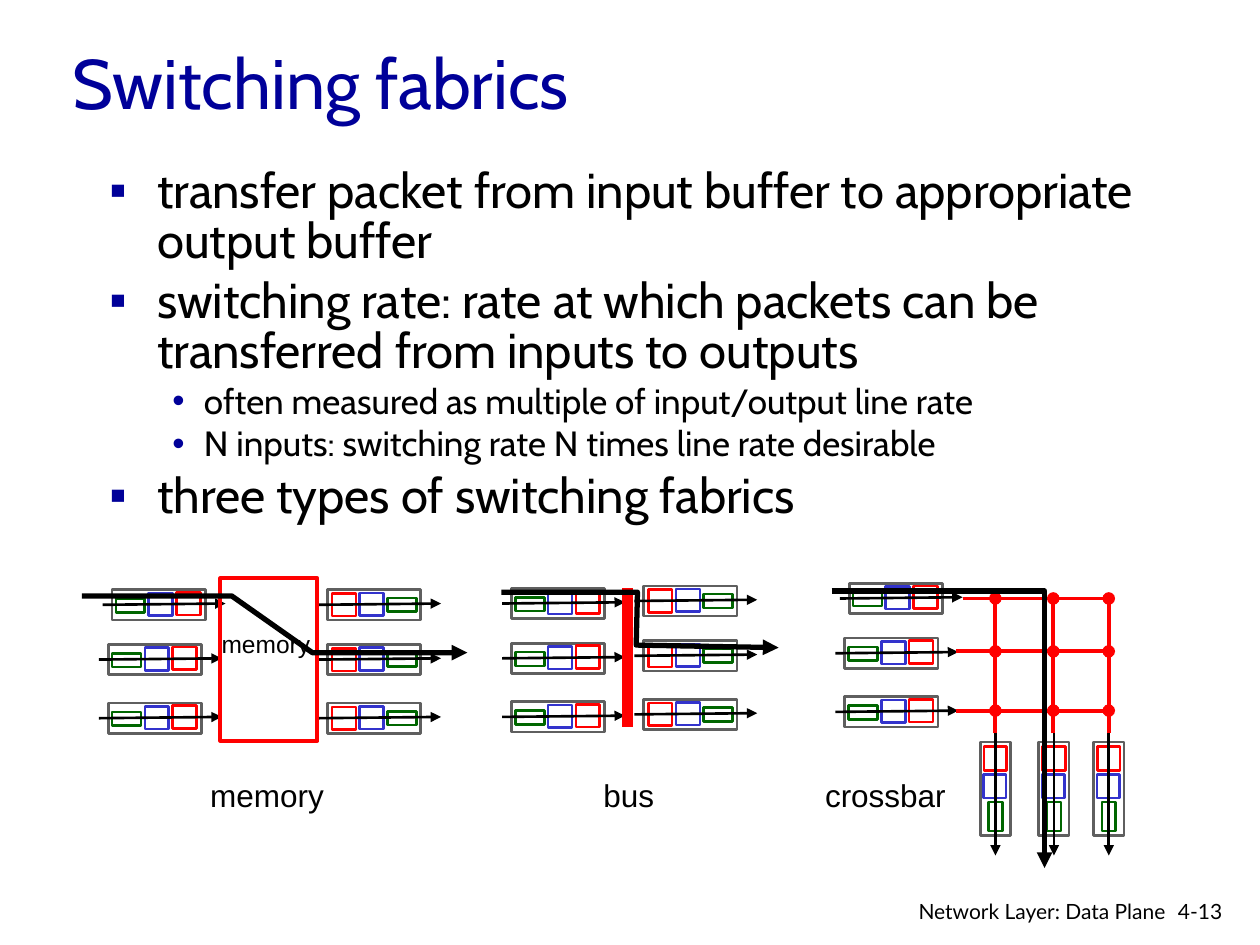
from dataclasses import dataclass
from itertools import product

from lxml.etree import SubElement
from pptx import Presentation
from pptx.dml.color import RGBColor
from pptx.enum.shapes import MSO_CONNECTOR, MSO_SHAPE as Shape
from pptx.enum.text import MSO_ANCHOR as Anchor, MSO_AUTO_SIZE as AutoSize, PP_ALIGN as Align
from pptx.oxml.ns import qn
from pptx.util import Inches, Pt

COLS, ROWS = 100, 75  # slide grid: all lengths below are in its cells
BLACK, WHITE, NAVY, RED = "000000", "FFFFFF", "000099", "FF0000"
GREEN, BLUE, GRAY = "006600", "3333CC", "5F5F5F"

prs = Presentation()
prs.slide_width, prs.slide_height = Inches(10), Inches(7.5)
s = prs.slides.add_slide(prs.slide_layouts[6])


@dataclass
class Cell:
    """A packet part of a buffer: offset and size along and across the flow."""
    along: float
    across: float
    length: float
    breadth: float
    color: str


@dataclass
class Bank:
    """Three buffers of one kind, starting at a grid place."""
    x: float
    y: float
    cells: list[Cell]
    first_shift: float = 0
    vertical: bool = False


@dataclass
class Label:
    text: str
    box: tuple[float, float, float, float]
    size: int
    font: str = "Arial"
    color: str = BLACK
    wrap: bool = False
    anchor: Anchor = Anchor.TOP
    align: Align = Align.LEFT


def gx(cols: float) -> int:
    return round(prs.slide_width * cols / COLS)


def gy(rows: float) -> int:
    return round(prs.slide_height * rows / ROWS)


def rgb(color: str) -> RGBColor:
    return RGBColor.from_string(color)


def set_attrs(obj, values: dict) -> None:
    for name, value in values.items():
        setattr(obj, name, value)


def set_line(sp, color: str, width: float, arrow: bool = False) -> None:
    sp.line.color.rgb = rgb(color)
    sp.line.width = Pt(width)
    if arrow:
        ln = sp.element.spPr.find(qn("a:ln"))
        SubElement(ln, qn("a:tailEnd"), type="triangle")


def add_box(x: float, y: float, w: float, h: float, fill: str = "", line: str = "",
            width: float = 1.5, kind: Shape = Shape.RECTANGLE) -> None:
    sp = s.shapes.add_shape(kind, gx(x), gy(y), gx(w), gy(h))
    sp.shadow.inherit = False
    if fill:
        sp.fill.solid()
        sp.fill.fore_color.rgb = rgb(fill)
    else:
        sp.fill.background()
    if line:
        set_line(sp, line, width)
    else:
        sp.line.fill.background()


def add_line(x1: float, y1: float, x2: float, y2: float, color: str = BLACK,
             width: float = 1.5, arrow: bool = False) -> None:
    sp = s.shapes.add_connector(MSO_CONNECTOR.STRAIGHT, gx(x1), gy(y1), gx(x2), gy(y2))
    set_line(sp, color, width, arrow)
    SubElement(sp.element.spPr, qn("a:effectLst"))


def add_route(points: list[tuple[float, float]]) -> None:
    start, *rest = [(gx(x), gy(y)) for x, y in points]
    builder = s.shapes.build_freeform(*start)
    builder.add_line_segments(rest, close=False)
    sp = builder.convert_to_shape()
    sp.shadow.inherit = False
    sp.fill.background()
    set_line(sp, BLACK, 3, arrow=True)


def add_frame(x: float, y: float, w: float, h: float, **frame_format):
    tf = s.shapes.add_textbox(gx(x), gy(y), gx(w), gy(h)).text_frame
    set_attrs(tf, frame_format)
    return tf


def add_run(p, text: str, size: int, font: str, color: str = BLACK) -> None:
    r = p.add_run()
    r.text = text
    set_attrs(r.font, {"size": Pt(size), "name": font})
    r.font.color.rgb = rgb(color)


def add_label(label: Label) -> None:
    auto = AutoSize.NONE if label.wrap else AutoSize.SHAPE_TO_FIT_TEXT
    tf = add_frame(*label.box, word_wrap=label.wrap, auto_size=auto, vertical_anchor=label.anchor)
    p = tf.paragraphs[0]
    p.alignment = label.align
    add_run(p, label.text, label.size, label.font, label.color)


def add_bullet(p, text: str, level: int) -> None:
    size, mark, margin, hang = [(28, "▪", 0.38, 0.38), (20, "•", 0.75, 0.25)][level]
    set_attrs(p, {"level": level, "line_spacing": 0.85, "space_before": Pt(size * 0.2)})
    pPr = p._p.get_or_add_pPr()
    pPr.set("marL", str(Inches(margin)))
    pPr.set("indent", str(-Inches(hang)))
    SubElement(SubElement(pPr, qn("a:buClr")), qn("a:srgbClr"), val=NAVY)
    SubElement(pPr, qn("a:buFont"), typeface="Arial")
    SubElement(pPr, qn("a:buChar"), char=mark)
    add_run(p, text, size, "Cabin")


def add_buffer(x: float, y: float, cells: list[Cell], vertical: bool) -> None:
    frame = Cell(0, 0, 7.4, 2.4, GRAY)
    for c in [frame, *cells]:
        if vertical:
            add_box(x + c.across, y + c.along, c.breadth, c.length, WHITE, c.color)
        else:
            add_box(x + c.along, y + c.across, c.length, c.breadth, WHITE, c.color)
    if vertical:
        add_line(x + 1.2, y - 0.7, x + 1.2, y + 9, arrow=True)
    else:
        add_line(x - 0.75, y + 1.2, x + 9, y + 1.1, arrow=True)


def add_bank(bank: Bank) -> None:
    for i in range(3):
        if bank.vertical:
            add_buffer(bank.x + COL_STEPS[i], bank.y, bank.cells, True)
        else:
            shift = 0 if i else bank.first_shift
            add_buffer(bank.x + shift, bank.y + ROW_STEPS[i], bank.cells, False)


# Title and bullets
add_label(Label("Switching fabrics", (4.8, 2.7, 85, 7.5), 40, "Cabin", NAVY, True, Anchor.MIDDLE))
BULLETS = [
    ("transfer packet from input buffer to appropriate output buffer", 0),
    ("switching rate: rate at which packets can be transferred from inputs to outputs", 0),
    ("often measured as multiple of input/output line rate", 1),
    ("N inputs: switching rate N times line rate desirable", 1),
    ("three types of switching fabrics", 0),
]
tf = add_frame(7.7, 12.9, 85, 50.8, word_wrap=True)
for i, (text, level) in enumerate(BULLETS):
    add_bullet(tf.add_paragraph() if i else tf.paragraphs[0], text, level)

# Input and output buffers
ROW_STEPS, COL_STEPS = (0, 4.35, 9), (0, 4.65, 9)
INPUT = [Cell(0.3, 0.7, 2.3, 1.1, GREEN), Cell(2.9, 0.25, 1.9, 1.8, BLUE),
         Cell(5.1, 0.2, 1.9, 1.8, RED)]
OUTPUT = [Cell(4.75, 0.65, 2.3, 1.1, GREEN), Cell(2.55, 0.25, 1.9, 1.8, BLUE),
          Cell(0.35, 0.3, 1.9, 1.8, RED)]
BANKS = [
    Bank(8.6, 46.8, INPUT, first_shift=0.3), Bank(26, 46.8, OUTPUT),
    Bank(40.6, 46.7, INPUT), Bank(51.1, 46.5, OUTPUT),
    Bank(67.05, 46.3, INPUT, first_shift=0.35), Bank(77.8, 58.9, OUTPUT, vertical=True),
]
for bank in BANKS:
    add_bank(bank)

# Memory block, bus and crossbar
add_box(17.5, 45.9, 7.7, 12.9, line=RED, width=2.25)
add_line(49.8, 46.7, 49.8, 57.7, RED, 6)
BAR_X, BAR_Y = (79, 83.6, 88), (47.5, 51.7, 56.4)
for y, left in zip(BAR_Y, (76.4, 75.9, 75.9)):
    add_line(left, y, BAR_X[-1], y, RED, 2.25)
for x in BAR_X:
    add_line(x, 58.2, x, BAR_Y[0], RED, 2.25)
for x, y in product(BAR_X, BAR_Y):
    add_box(x - 0.5, y - 0.5, 1, 1, RED, kind=Shape.OVAL)

# Captions and footer
for label in [
    Label("memory", (15.7, 61.1, 11, 4), 18),
    Label("memory", (16.6, 49.4, 9.5, 3.3), 14),
    Label("bus", (46.9, 61.1, 6, 4), 18),
    Label("crossbar", (64.5, 61.1, 11.6, 4), 18),
    Label("4-13", (92.5, 70.8, 6.1, 3), 12, "Lato", wrap=True),
    Label("Network Layer: Data Plane", (69.7, 70.8, 23.8, 2.6), 12, "Lato", wrap=True, align=Align.RIGHT),
]:
    add_label(label)

# Packet routes through each fabric
for route in [
    [(6.5, 47.3), (18.4, 47.3), (24.8, 51.8), (37.1, 51.8)],
    [(39.8, 47), (50.6, 47), (50.5, 51.2), (61.8, 51.4)],
    [(66, 46.9), (82.9, 46.9), (82.9, 68.9)],
]:
    add_route(route)

prs.save("out.pptx")
